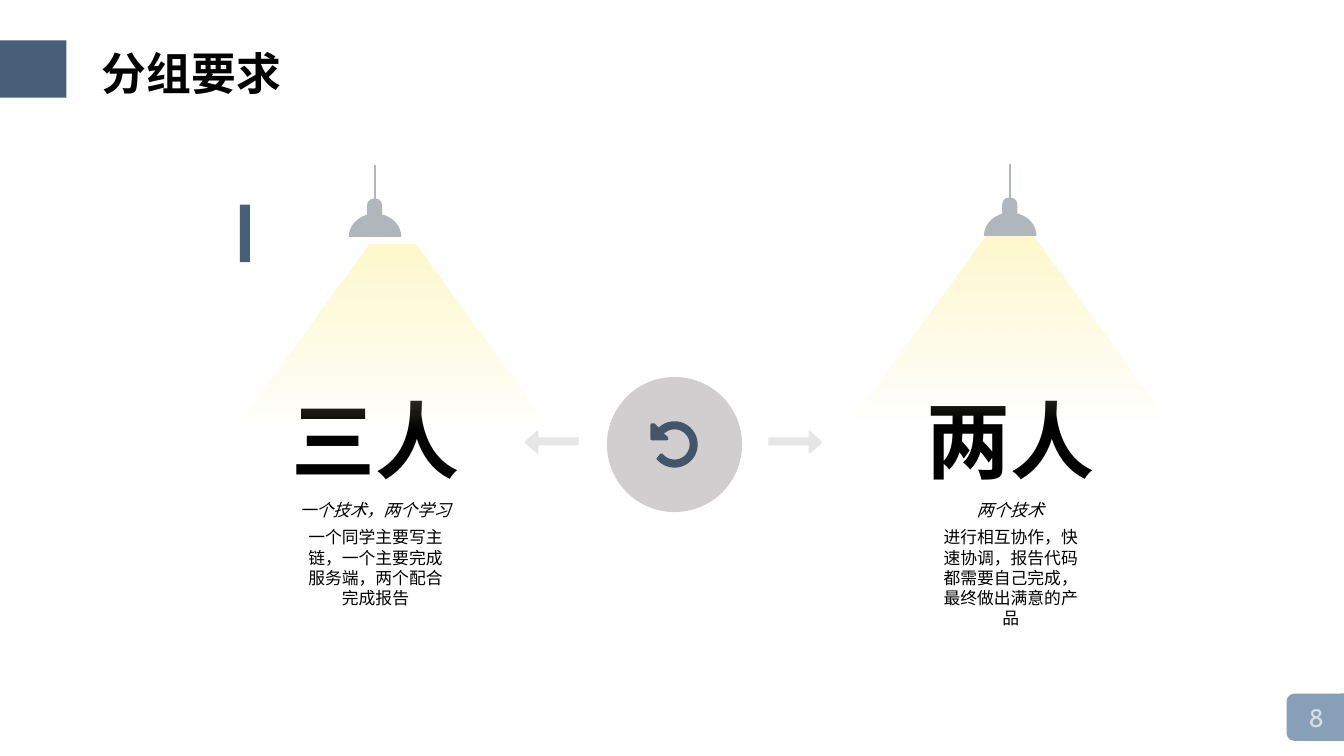
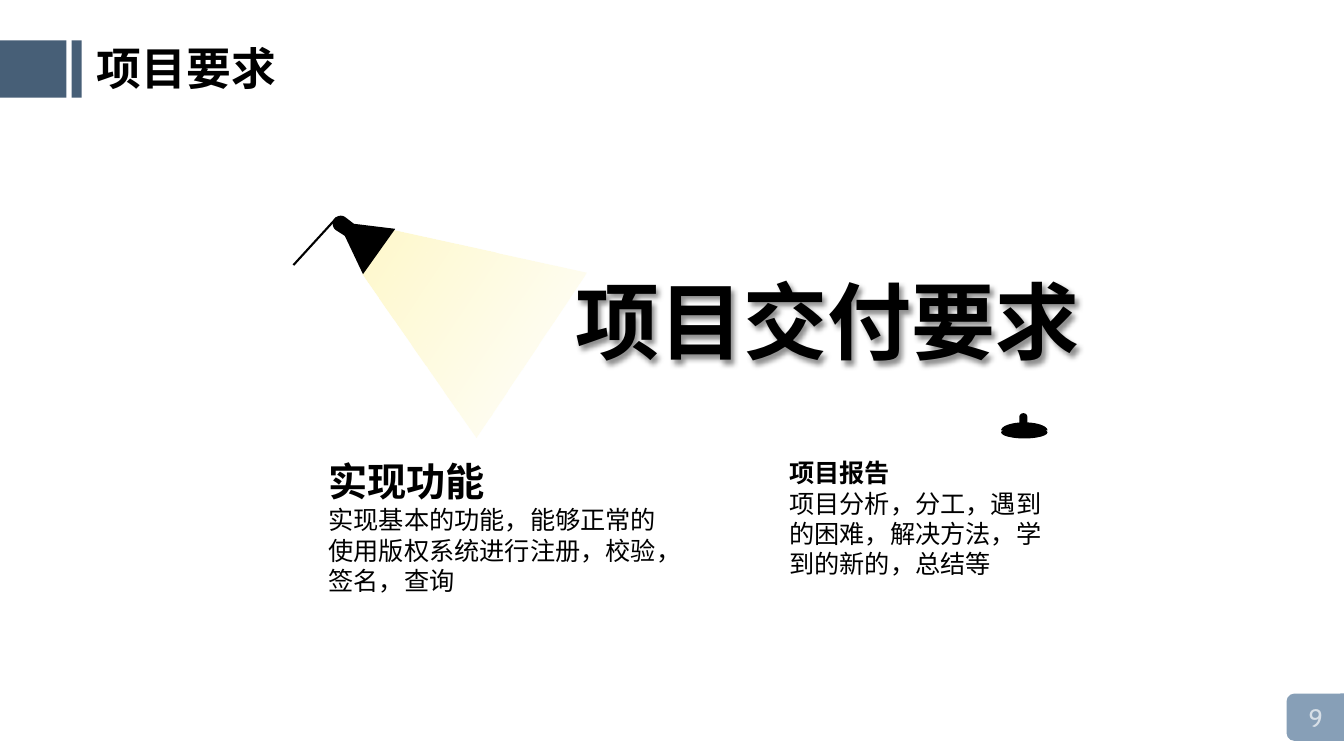
from math import cos, radians, sin

from lxml.etree import SubElement
from pptx import Presentation
from pptx.dml.color import RGBColor
from pptx.enum.lang import MSO_LANGUAGE_ID
from pptx.enum.shapes import MSO_CONNECTOR, MSO_SHAPE
from pptx.enum.text import MSO_ANCHOR, PP_ALIGN
from pptx.oxml.ns import qn
from pptx.util import Pt

PX = 9144
BODY_FONT = "Cabin"
HEAD_FONT = "Noto Sans CJK SC"
COLOURS = {
    "band": "475F77",
    "footer": "879FB7",
    "number": "D7DFE7",
    "text": "000000",
    "disc": "D0CECE",
    "arrow": "E7E6E6",
    "icon": "44546A",
    "lamp": "B1B6BD",
    "spotlight": "000000",
    "beam": "FFF9CB",
}
STYLES = {
    "title": {"name": BODY_FONT, "size": Pt(32), "bold": True},
    "number": {"name": BODY_FONT, "size": Pt(18)},
    "headline": {"name": HEAD_FONT, "size": Pt(60), "bold": True},
    "subtitle": {"name": BODY_FONT, "size": Pt(12), "italic": True},
    "detail": {"name": BODY_FONT, "size": Pt(12)},
    "large heading": {"name": BODY_FONT, "size": Pt(28), "bold": True},
    "heading": {"name": BODY_FONT, "size": Pt(18), "bold": True},
    "body": {"name": BODY_FONT, "size": Pt(18)},
}
CENTRED = {"alignment": PP_ALIGN.CENTER}
MIDDLE = {"vertical_anchor": MSO_ANCHOR.MIDDLE}
UNWRAPPED = {"word_wrap": False}


def rgb(colour):
    return RGBColor.from_string(COLOURS[colour])


def scaled(*lengths):
    return [round(length * PX) for length in lengths]


def set_all(target, values):
    for name, value in values.items():
        setattr(target, name, value)


def paint(shape, colour):
    shape.shadow.inherit = False
    shape.fill.solid()
    shape.fill.fore_color.rgb = rgb(colour)
    shape.line.fill.background()


def add_preset(shapes, kind, place, colour, rotation=0, adjustment=None):
    shape = shapes.add_shape(kind, *scaled(*place))
    paint(shape, colour)
    shape.rotation = rotation
    if adjustment is not None:
        shape.adjustments[0] = adjustment
    return shape


def add_outline(shapes, points, colour):
    start, *others = [scaled(*point) for point in points]
    builder = shapes.build_freeform(*start, scale=1.0)
    builder.add_line_segments(others, close=True)
    paint(builder.convert_to_shape(), colour)


def arc(centre, radii, start, end, steps=32):
    angles = [radians(start + (end - start) * step / steps) for step in range(steps + 1)]
    return [
        (centre[0] + radii[0] * cos(angle), centre[1] + radii[1] * sin(angle))
        for angle in angles
    ]


def add_cord(shapes, start, end, colour):
    cord = shapes.add_connector(MSO_CONNECTOR.STRAIGHT, *scaled(*start, *end))
    cord.line.color.rgb = rgb(colour)
    cord.line.width = Pt(1.5)
    SubElement(cord.element.spPr, qn("a:effectLst"))


def add_text(shapes, place, paragraphs, frame_format=None, para_format=None, colour="text"):
    box = shapes.add_textbox(*scaled(*place))
    frame = box.text_frame
    set_all(frame, {"word_wrap": True, **(frame_format or {})})
    for index, (text, style) in enumerate(paragraphs):
        para = frame.add_paragraph() if index else frame.paragraphs[0]
        set_all(para, para_format or {})
        span = para.add_run()
        span.text = text
        set_all(span.font, STYLES[style])
        span.font.language_id = MSO_LANGUAGE_ID.SIMPLIFIED_CHINESE
        span.font.color.rgb = rgb(colour)
        SubElement(span.font._element, qn("a:ea"), typeface=STYLES[style]["name"])
    return box


def add_text_shadow(box):
    effects = SubElement(box.element.spPr, qn("a:effectLst"))
    shadow = SubElement(
        effects, qn("a:outerShdw"),
        blurRad=str(Pt(4)), dist=str(Pt(3)), dir="2700000", algn="tl", rotWithShape="0",
    )
    colour = SubElement(shadow, qn("a:srgbClr"), val=COLOURS["text"])
    SubElement(colour, qn("a:alpha"), val="43000")


def add_beam(shapes, place, adjustment, rotation=0):
    beam = add_preset(shapes, MSO_SHAPE.TRAPEZOID, place, "beam", rotation, adjustment)
    beam.fill.gradient()
    beam.fill.gradient_angle = 90
    for stop in beam.fill.gradient_stops:
        stop.color.rgb = rgb("beam")
    faded = beam.element.xpath(".//a:gs/a:srgbClr")[0]
    SubElement(faded, qn("a:alpha"), val="0")


def add_lamp(shapes, centre, base):
    lamp = shapes.add_group_shape().shapes
    add_outline(lamp, arc((centre, base), (26, 23), 180, 360), "lamp")
    cap = (centre - 8, base - 38, 15, 29)
    add_preset(lamp, MSO_SHAPE.ROUNDED_RECTANGLE, cap, "lamp", adjustment=0.44)
    add_cord(shapes, (centre, base - 71), (centre, base - 35), "lamp")


def add_ceiling_lamp(shapes):
    lamp = shapes.add_group_shape().shapes
    add_preset(lamp, MSO_SHAPE.ROUNDED_RECTANGLE, (1011, 410, 8, 13), "spotlight", adjustment=0.44)
    add_outline(lamp, arc((1016, 427), (23, 8), 180, 360), "spotlight")
    add_preset(lamp, MSO_SHAPE.OVAL, (993, 423, 46, 12), "spotlight")


def add_spotlight(shapes):
    add_cord(shapes, (334, 216), (291, 263), "spotlight")
    head = arc((338, 222), (8, 8), 130, 300)
    shade = [(351, 222), (392, 227), (360, 272), (342, 234)]
    add_outline(shapes, head + shade, "spotlight")


def add_arrows(shapes):
    left_arrow = [
        (574, 434), (574, 442), (534, 442), (534, 450), (533, 450),
        (521, 440), (521, 438), (533, 427), (534, 427), (534, 434),
    ]
    right_arrow = [(1336 - x, y) for x, y in left_arrow]
    for arrow in (left_arrow, right_arrow):
        add_outline(shapes, arrow, "arrow")


def add_cycle_icon(shapes):
    centre = (669, 441)
    head = [(645, 422), (645, 436), (647, 437), (661, 437), (663, 436), (662, 433)]
    inner = arc(centre, (15, 15), -135, 143)
    tail = [(655, 450), (651, 455)]
    outer = arc(centre, (23, 23), 140, -133)
    tip = [(649, 420), (646, 420)]
    add_outline(shapes, head + inner + tail + outer + tip, "icon")


def add_page(deck, number, title, title_place, accent_place):
    shapes = deck.slides.add_slide(deck.slide_layouts[6]).shapes
    add_preset(shapes, MSO_SHAPE.ROUND_2_SAME_RECTANGLE, (1282, 682, 47, 59), "footer", 270)
    for place in ((0, 40, 66, 57), accent_place):
        add_preset(shapes, MSO_SHAPE.RECTANGLE, place, "band")
    add_text(shapes, (1288, 692, 33, 40), [(number, "number")], UNWRAPPED, colour="number")
    add_text(shapes, title_place, [(title, "title")], UNWRAPPED)
    return shapes


def add_team(shapes, centre, headline, subtitle, detail):
    add_text(shapes, (centre - 90, 491, 180, 36), [(subtitle, "subtitle")], para_format=CENTRED)
    add_text(shapes, (centre - 152, 400, 305, 70), [(headline, "headline")], MIDDLE, CENTRED)
    add_text(shapes, (centre - 81, 518, 163, 82), [(detail, "detail")], para_format=CENTRED)


def build_grouping(deck):
    shapes = add_page(deck, "8", "分组要求", (91, 40, 198, 64), (238, 203, 10, 57))
    add_preset(shapes, MSO_SHAPE.OVAL, (602, 374, 134, 134), "disc")
    add_team(shapes, 372, "三人", "一个技术，两个学习",
             "一个同学主要写主链，一个主要完成服务端，两个配合完成报告")
    add_team(shapes, 1002, "两人", "两个技术",
             "进行相互协作，快速协调，报告代码都需要自己完成，最终做出满意的产品")
    add_arrows(shapes)
    add_cycle_icon(shapes)
    for beam_left, beam_top, centre, base in ((844, 234, 1002, 234), (232, 243, 372, 235)):
        add_beam(shapes, (beam_left, beam_top, 315, 184), 0.73)
        add_lamp(shapes, centre, base)


def build_delivery(deck):
    shapes = add_page(deck, "9", "项目要求", (86, 36, 198, 64), (71, 40, 10, 57))
    add_beam(shapes, (352, 209, 197, 184), 0.39, 303.8)
    headline = add_text(shapes, (509, 261, 623, 113), [("项目交付要求", "headline")], MIDDLE, CENTRED)
    add_text_shadow(headline)
    add_spotlight(shapes)
    add_ceiling_lamp(shapes)
    add_text(shapes, (316, 449, 347, 148), [
        ("实现功能", "large heading"),
        ("实现基本的功能，能够正常的使用版权系统进行注册，校验，签名，查询", "body"),
    ])
    add_text(shapes, (773, 449, 278, 131), [
        ("项目报告", "heading"),
        ("项目分析，分工，遇到的困难，解决方法，学到的新的，总结等", "body"),
    ])


def main():
    deck = Presentation()
    deck.slide_width, deck.slide_height = scaled(1333, 750)
    build_grouping(deck)
    build_delivery(deck)
    deck.save("out.pptx")


if __name__ == "__main__":
    main()
